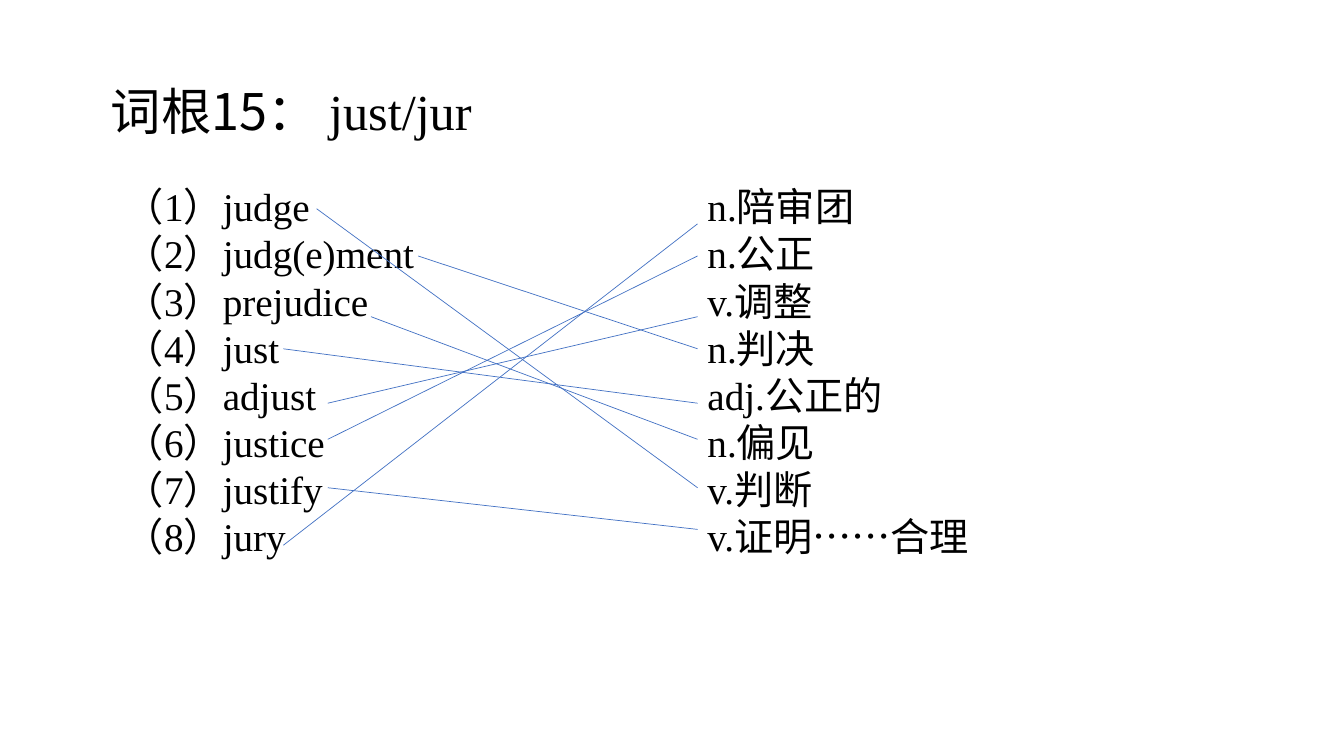
"""Build a vocabulary slide matching words from the root just/jur to their meanings."""
import pptx
import pptx.dml.color
import pptx.enum.shapes
import pptx.enum.text
import pptx.oxml.ns
import pptx.util
from lxml import etree

Cm = pptx.util.Cm
Pt = pptx.util.Pt
BLACK = pptx.dml.color.RGBColor(0x00, 0x00, 0x00)
BLUE = pptx.dml.color.RGBColor(0x44, 0x72, 0xC4)
LATIN = "Times New Roman"
CHINESE = "Noto Sans CJK SC"
LINE_PITCH = Pt(33.7)
MEANING_LEFT = 17.58

WORDS = ["judge", "judg(e)ment", "prejudice", "just",
         "adjust", "justice", "justify", "jury"]
MEANINGS = [("n.", "陪审团"), ("n.", "公正"), ("v.", "调整"), ("n.", "判决"),
            ("adj.", "公正的"), ("n.", "偏见"), ("v.", "判断"), ("v.", "证明……合理")]
MATCHES = [(7.98, 5.26, 12.29), (10.54, 6.45, 8.79), (9.35, 7.98, 11.07),
           (7.14, 8.79, 10.16), (8.26, 10.16, 7.98), (8.26, 11.07, 6.45),
           (8.26, 12.29, 13.34), (7.14, 13.74, 5.64)]


def add_box(page, left, top, width, height):
    """Add a wrapping text box placed in centimetres and return its frame."""
    box = page.shapes.add_textbox(Cm(left), Cm(top), Cm(width), Cm(height))
    box.text_frame.word_wrap = True
    return box.text_frame


def add_span(para, text, font, size):
    """Append black text to a paragraph, with Chinese glyphs in the Chinese font."""
    span = para.add_run()
    span.text = text
    span.font.name = font
    span.font.size = Pt(size)
    span.font.color.rgb = BLACK
    east_asian = etree.SubElement(span.font._element, pptx.oxml.ns.qn("a:ea"))
    east_asian.set("typeface", CHINESE)


deck = pptx.Presentation()
deck.slide_width = Cm(33.87)
deck.slide_height = Cm(19.05)
page = deck.slides.add_slide(deck.slide_layouts[6])

title = add_box(page, 2.54, 1.9, 15.04, 2.57).paragraphs[0]
add_span(title, "词根15： ", CHINESE, 36)
add_span(title, "just/jur", LATIN, 36)

word_rows = [[(f"（{number}）{word}", LATIN)]
             for number, word in enumerate(WORDS, 1)]
meaning_rows = [[(kind, LATIN), (meaning, CHINESE)] for kind, meaning in MEANINGS]

for left, width, rows in [(2.9, 14.6, word_rows), (MEANING_LEFT, 9.02, meaning_rows)]:
    frame = add_box(page, left, 4.47, width, 9.83)
    for index, row in enumerate(rows):
        para = frame.paragraphs[0] if index == 0 else frame.add_paragraph()
        para.alignment = pptx.enum.text.PP_ALIGN.JUSTIFY
        para.line_spacing = LINE_PITCH
        for text, font in row:
            add_span(para, text, font, 28)

for word_right, word_y, meaning_y in MATCHES:
    match = page.shapes.add_connector(
        pptx.enum.shapes.MSO_CONNECTOR.STRAIGHT,
        Cm(word_right), Cm(word_y), Cm(MEANING_LEFT), Cm(meaning_y))
    match.line.color.rgb = BLUE
    match.line.width = Pt(0.5)
    etree.SubElement(match._element.spPr, pptx.oxml.ns.qn("a:effectLst"))

deck.save("out.pptx")
